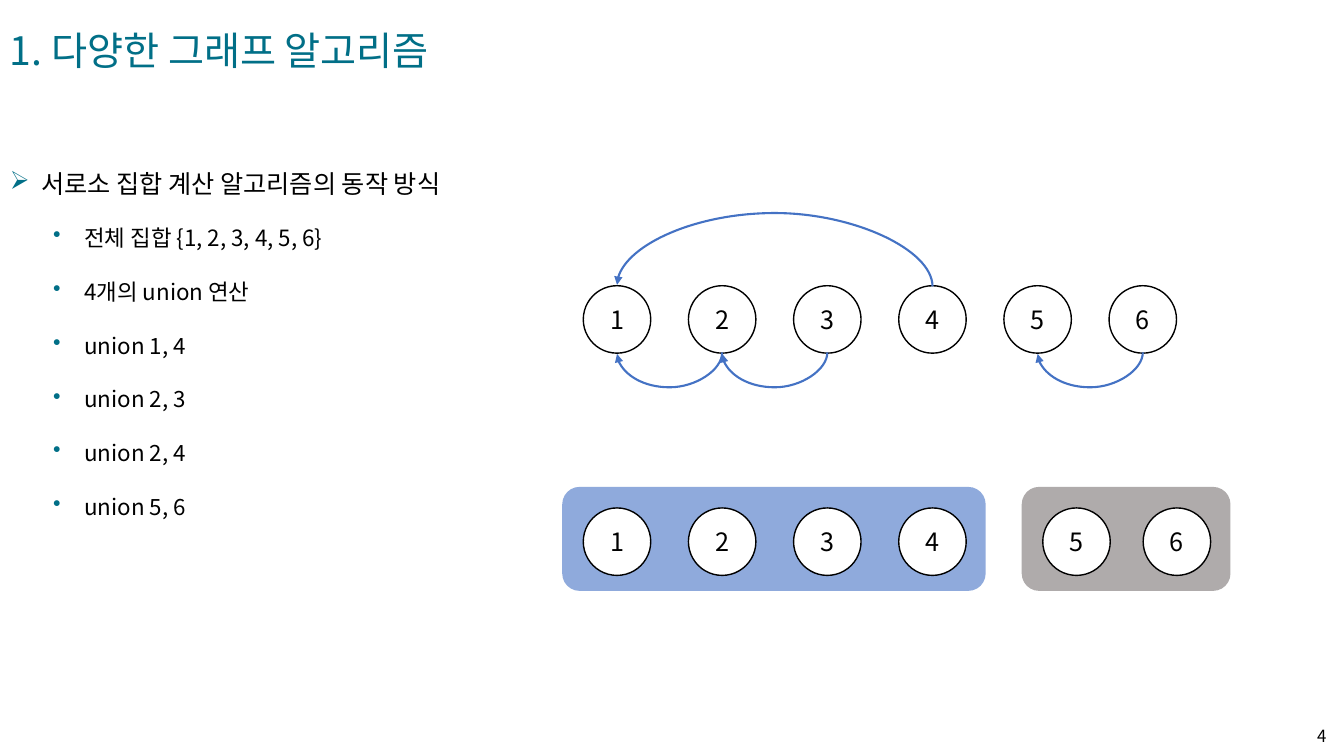
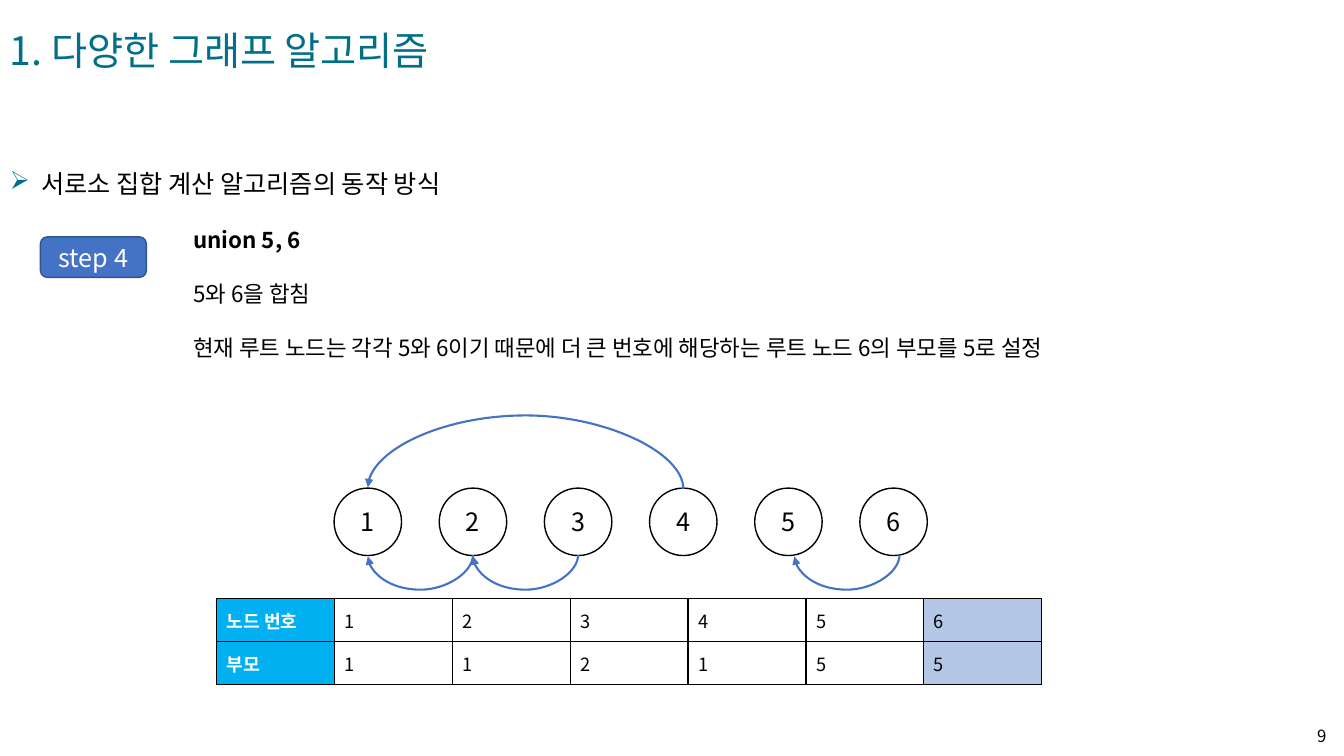
from lxml import etree
from pptx import Presentation
from pptx.dml.color import RGBColor
from pptx.enum.shapes import MSO_CONNECTOR, MSO_SHAPE
from pptx.enum.text import MSO_ANCHOR, PP_ALIGN
from pptx.oxml.ns import qn
from pptx.util import Cm, Pt

TEAL = RGBColor(0x01, 0x6F, 0x87)
BLACK = RGBColor(0, 0, 0)
WHITE = RGBColor(0xFF, 0xFF, 0xFF)
BLUE = RGBColor(0x44, 0x72, 0xC4)
DARK_BLUE = RGBColor(0x32, 0x54, 0x91)
SET_BLUE = RGBColor(0x8F, 0xAA, 0xDC)
SET_GRAY = RGBColor(0xAF, 0xAB, 0xAB)
HEAD_BLUE = RGBColor(0x00, 0xB0, 0xF0)
MARK_BLUE = RGBColor(0xB4, 0xC7, 0xE7)
FONT = "Noto Sans CJK KR"

LEFT, CENTER, RIGHT = PP_ALIGN.LEFT, PP_ALIGN.CENTER, PP_ALIGN.RIGHT
TOP, MIDDLE = MSO_ANCHOR.TOP, MSO_ANCHOR.MIDDLE
OVAL, ROUNDED = MSO_SHAPE.OVAL, MSO_SHAPE.ROUNDED_RECTANGLE
CURVE = MSO_CONNECTOR.CURVE

TITLE = "1. 다양한 그래프 알고리즘"
HEADING = "서로소 집합 계산 알고리즘의 동작 방식"
NODE = 1.7      # node diameter, cm
PITCH = 2.65    # distance between node centres, cm
SET_INSET = 0.53


def add_xml(parent, tag, **attrs):
    return etree.SubElement(parent, qn(tag), attrs)


def write(p, text, size=16, color=BLACK, bold=False, align=LEFT, spacing=None, bullet=None):
    """Put formatted text in a paragraph, with an optional bullet character."""
    if bullet:
        pPr = p._p.get_or_add_pPr()
        pPr.set("marL", str(Cm(0.79)))
        pPr.set("indent", str(-Cm(0.79)))
        add_xml(add_xml(pPr, "a:buClr"), "a:srgbClr", val=str(TEAL))
        add_xml(pPr, "a:buChar", char=bullet)
    p.alignment = align
    if spacing:
        p.line_spacing = spacing
    r = p.add_run()
    r.text = text
    r.font.name = FONT
    r.font.size = Pt(size)
    r.font.bold = bold
    r.font.color.rgb = color
    add_xml(r._r.get_or_add_rPr(), "a:ea", typeface=FONT)


def add_text(s, box, lines, wrap=True, anchor=TOP, bold_first=False, **fmt):
    tf = s.shapes.add_textbox(*map(Cm, box)).text_frame
    tf.word_wrap = wrap
    tf.vertical_anchor = anchor
    for i, line in enumerate(lines):
        p = tf.add_paragraph() if i else tf.paragraphs[0]
        write(p, line, bold=bold_first and i == 0, **fmt)


def add_box(s, kind, box, fill, line=None, text=None, color=BLACK):
    sp = s.shapes.add_shape(kind, *map(Cm, box))
    sp.shadow.inherit = False
    sp.fill.solid()
    sp.fill.fore_color.rgb = fill
    if line is None:
        sp.line.fill.background()
    else:
        sp.line.color.rgb = line
        sp.line.width = Pt(1)
    if text:
        sp.text_frame.vertical_anchor = MIDDLE
        write(sp.text_frame.paragraphs[0], text, size=18, color=color, align=CENTER)


def add_nodes(s, left, top, numbers, pitch=PITCH):
    for i, n in enumerate(numbers):
        add_box(s, OVAL, (left + i * pitch, top, NODE, NODE), WHITE, BLACK, str(n))


def add_arc(s, x_from, x_to, y, depth, up=False):
    """Draw a U-shaped arrow leftwards between two points at height y."""
    thin, span = 0.04, x_from - x_to
    left, top = (x_from + x_to - thin) / 2, y - span / 2
    cxn = s.shapes.add_connector(CURVE, Cm(left), Cm(top), Cm(left + thin), Cm(top + span))
    cxn.line.color.rgb = BLUE
    cxn.line.width = Pt(1.5)
    spPr = cxn._element.spPr
    xfrm = spPr.find(qn("a:xfrm"))
    xfrm.set("rot", str((270 if up else 90) * 60000))
    if up:
        xfrm.set("flipV", "1")
    geom = spPr.find(qn("a:prstGeom"))
    av = geom.find(qn("a:avLst"))
    if av is None:
        av = add_xml(geom, "a:avLst")
    add_xml(av, "a:gd", name="adj1", fmla=f"val {round(depth / thin * 100000)}")
    add_xml(spPr.find(qn("a:ln")), "a:tailEnd", type="triangle")
    add_xml(spPr, "a:effectLst")


def add_forest(s, left, top, last_shift=0):
    """Draw six nodes in a row with arrows from child to parent."""
    add_nodes(s, left, top, range(1, 7))

    def center(n):
        return left + NODE / 2 + (n - 1) * PITCH

    add_arc(s, center(4), center(1), top, 1.85, up=True)
    for child, shift in ((3, 0), (2, 0), (6, last_shift)):
        add_arc(s, center(child) + shift, center(child - 1) + shift, top + NODE, 0.88)


def add_set(s, left, top, width, fill, numbers, pitch=PITCH):
    add_box(s, ROUNDED, (left, top, width, 2.62), fill)
    add_nodes(s, left + SET_INSET, top + SET_INSET, numbers, pitch)


def add_parent_table(s, left, top, rows, col_width=2.97, row_height=1.08):
    n_cols = len(rows[0])
    frame = s.shapes.add_table(len(rows), n_cols, Cm(left), Cm(top),
                               Cm(col_width * n_cols), Cm(row_height * len(rows)))
    table = frame.table
    table.first_row = table.horz_banding = False
    for i, values in enumerate(rows):
        table.rows[i].height = Cm(row_height)
        for j, value in enumerate(values):
            table.columns[j].width = Cm(col_width)
            cell = table.cell(i, j)
            cell.vertical_anchor = MIDDLE
            tcPr = cell._tc.get_or_add_tcPr()
            for side in ("a:lnL", "a:lnR", "a:lnT", "a:lnB"):
                ln = add_xml(tcPr, side, w=str(Pt(1)))
                add_xml(add_xml(ln, "a:solidFill"), "a:srgbClr", val=str(BLACK))
            cell.fill.solid()
            cell.fill.fore_color.rgb = {0: HEAD_BLUE, n_cols - 1: MARK_BLUE}.get(j, WHITE)
            write(cell.text_frame.paragraphs[0], value, size=13, bold=j == 0,
                  color=WHITE if j == 0 else BLACK)


def add_frame(prs, number):
    """Add a blank slide with the shared title, heading and page number."""
    s = prs.slides.add_slide(prs.slide_layouts[6])
    add_text(s, (0, 0.53, 12.32, 1.45), [TITLE], wrap=False, size=28, color=TEAL)
    add_text(s, (32.23, 18.03, 1.45, 1.02), [str(number)], anchor=MIDDLE, size=12, align=RIGHT)
    add_text(s, (0, 3.35, 17.12, 1.6), [HEADING], size=18, spacing=2.0, bullet="➢")
    return s


def build_overview(prs):
    s = add_frame(prs, 4)
    add_text(s, (1.09, 4.85, 15.82, 8.26),
             ["전체 집합 {1, 2, 3, 4, 5, 6}", "4개의 union 연산", "union 1, 4",
              "union 2, 3", "union 2, 4", "union 5, 6"], spacing=2.0, bullet="•")
    add_forest(s, 14.7, 7.2)
    add_set(s, 14.17, 12.27, 10.67, SET_BLUE, (1, 2, 3, 4))
    add_set(s, 25.75, 12.27, 5.26, SET_GRAY, (5, 6), pitch=2.53)


def build_step(prs):
    s = add_frame(prs, 9)
    add_box(s, ROUNDED, (1.02, 5.97, 2.67, 1.02), BLUE, DARK_BLUE, "step 4", WHITE)
    add_text(s, (4.62, 4.9, 25.25, 4.14),
             ["union 5, 6", "5와 6을 합침",
              "현재 루트 노드는 각각 5와 6이기 때문에 더 큰 번호에 해당하는 루트 노드 6의 부모를 5로 설정"],
             spacing=2.0, bold_first=True)
    add_parent_table(s, 5.46, 15.09, [["노드 번호", "1", "2", "3", "4", "5", "6"],
                                      ["부모", "1", "1", "2", "1", "5", "5"]])
    add_forest(s, 8.42, 12.3, last_shift=0.15)


def main():
    prs = Presentation()
    prs.slide_width, prs.slide_height = Cm(33.87), Cm(19.05)
    build_overview(prs)
    build_step(prs)
    prs.save("out.pptx")


if __name__ == "__main__":
    main()
